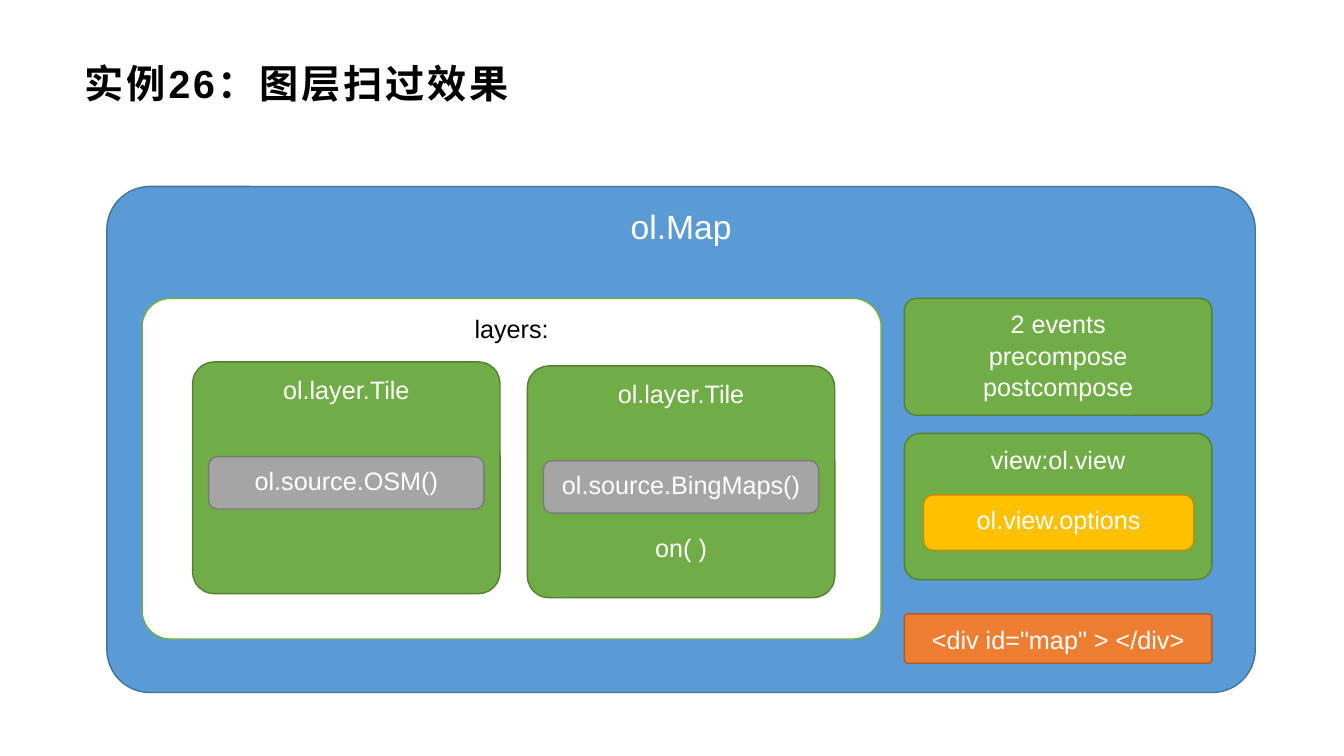
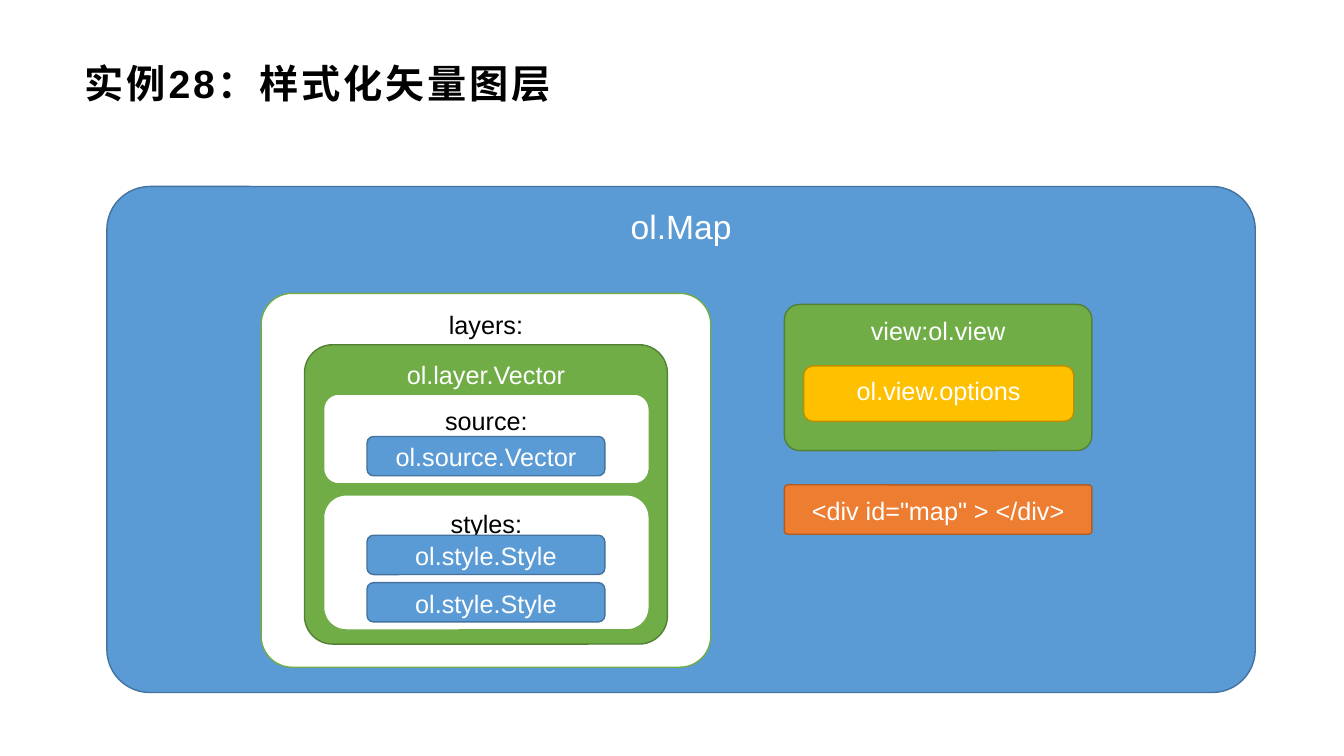
from dataclasses import dataclass
from typing import Optional

from pptx import Presentation
from pptx.dml.color import RGBColor
from pptx.enum.shapes import MSO_SHAPE
from pptx.enum.text import MSO_ANCHOR, PP_ALIGN
from pptx.slide import Slide
from pptx.text.text import _Run
from pptx.util import Inches, Pt

FONT = "Arial"
BLACK = "000000"
WHITE = "FFFFFF"


@dataclass(frozen=True)
class Style:
    """Colours, corner rounding and text placement of a kind of box."""

    fill: str
    line: str
    rounding: float = 0.167
    text: str = WHITE
    size: int = 18
    anchor: MSO_ANCHOR = MSO_ANCHOR.TOP


@dataclass(frozen=True)
class Box:
    """A labelled rounded box, in inches."""

    left: float
    top: float
    width: float
    height: float
    style: Style
    lines: tuple[str, ...]
    gap: float = 0


MAP = Style("5B9BD5", "43739E", 0.085, size=24)
LAYERS = Style(WHITE, "70AD47", 0.083, BLACK)
LAYER = Style("70AD47", "538035", 0.094)
PANEL = Style("70AD47", "538035", 0.103)
OPTIONS = Style("FFC000", "BD8E00")
SOURCE = Style("A5A5A5", "7A7A7A")
ELEMENT = Style("ED7D31", "AF5C24", 0.069, anchor=MSO_ANCHOR.MIDDLE)
PROPERTY = Style(WHITE, "70AD47", text=BLACK)
OBJECT = Style("5B9BD5", "43739E", anchor=MSO_ANCHOR.MIDDLE)

PANEL_WIDTH = 3.05


def colour(value: str) -> RGBColor:
    """Turn a hex string into a colour."""
    return RGBColor.from_string(value)


def style_span(span: _Run, size: int, text_colour: str, bold: bool = False) -> None:
    """Set the font of one run."""
    span.font.name = FONT
    span.font.size = Pt(size)
    span.font.bold = bold
    span.font.color.rgb = colour(text_colour)


def draw_title(page: Slide, title: str) -> None:
    """Write the bold, letter-spaced title of a page."""
    frame = page.shapes.add_textbox(
        Inches(0.73), Inches(0.47), Inches(11.87), Inches(0.71)
    ).text_frame
    frame.word_wrap = True
    frame.vertical_anchor = MSO_ANCHOR.MIDDLE
    frame.margin_left, frame.margin_right = Inches(0.11), Inches(0.08)
    frame.margin_top = frame.margin_bottom = Inches(0.04)
    span = frame.paragraphs[0].add_run()
    span.text = title
    style_span(span, 28, BLACK, bold=True)
    span.font._element.set("spc", "200")


def draw_box(page: Slide, box: Box) -> None:
    """Draw one rounded box with its centred lines."""
    style = box.style
    shape = page.shapes.add_shape(
        MSO_SHAPE.ROUNDED_RECTANGLE,
        Inches(box.left), Inches(box.top), Inches(box.width), Inches(box.height),
    )
    shape.shadow.inherit = False
    shape.adjustments[0] = style.rounding
    shape.fill.solid()
    shape.fill.fore_color.rgb = colour(style.fill)
    shape.line.color.rgb = colour(style.line)
    shape.line.width = Pt(1)
    frame = shape.text_frame
    frame.word_wrap = True
    frame.vertical_anchor = style.anchor
    for index, line in enumerate(box.lines):
        para = frame.add_paragraph() if index else frame.paragraphs[0]
        para.alignment = PP_ALIGN.CENTER
        para.line_spacing = 1.05
        if index:
            para.space_before = Pt(box.gap)
        span = para.add_run()
        span.text = line
        style_span(span, style.size, style.text)


def view_boxes(left: float, top: float) -> list[Box]:
    """Lay out the view, its options and the page element below."""
    return [
        Box(left, top + 1.79, PANEL_WIDTH, 0.49, ELEMENT, ('<div id="map" > </div>',)),
        Box(left, top, PANEL_WIDTH, 1.45, PANEL, ("view:ol.view",)),
        Box(left + 0.19, top + 0.61, 2.68, 0.55, OPTIONS, ("ol.view.options",)),
    ]


def tile_boxes(left: float, top: float, source: str, *calls: str) -> list[Box]:
    """Lay out a tile layer with its source and any calls below."""
    return [
        Box(left, top, PANEL_WIDTH, 2.3, LAYER, ("ol.layer.Tile", *calls), gap=87),
        Box(left + 0.16, top + 0.94, 2.73, 0.52, SOURCE, (source,)),
    ]


def object_box(top: float, name: str) -> Box:
    """Lay out one object inside a vector layer property."""
    return Box(3.64, top, 2.36, 0.39, OBJECT, (name,))


def add_page(deck: Presentation, title: str, boxes: list[Box], background: Optional[Box] = None) -> None:
    """Add a page with a title, the map frame and its boxes."""
    page = deck.slides.add_slide(deck.slide_layouts[6])
    draw_title(page, title)
    frame = background or Box(1.06, 1.85, 11.39, 5.02, MAP, ("ol.Map",))
    for box in [frame, *boxes]:
        draw_box(page, box)


def main() -> None:
    """Build and save the deck."""
    deck = Presentation()
    deck.slide_width, deck.slide_height = Inches(13.33), Inches(7.5)
    add_page(deck, "实例26：图层扫过效果", [
        *view_boxes(8.97, 4.3),
        Box(1.41, 2.96, 7.33, 3.38, LAYERS, ("layers:",)),
        *tile_boxes(1.91, 3.59, "ol.source.OSM()"),
        Box(8.97, 2.96, PANEL_WIDTH, 1.16, PANEL, ("2 events", "precompose", "postcompose")),
        *tile_boxes(5.23, 3.63, "ol.source.BingMaps()", "on( )"),
    ])
    add_page(deck, "实例28：样式化矢量图层", [
        *view_boxes(7.78, 3.02),
        Box(2.59, 2.91, 4.46, 3.71, LAYERS, ("layers:",)),
        Box(3.02, 3.42, 3.6, 2.97, LAYER, ("ol.layer.Vector",)),
        Box(3.21, 3.91, 3.23, 0.89, PROPERTY, ("source:",)),
        Box(3.21, 4.91, 3.23, 1.34, PROPERTY, ("styles:",)),
        object_box(4.33, "ol.source.Vector"),
        *(object_box(top, "ol.style.Style") for top in (5.31, 5.78)),
    ])
    deck.save("out.pptx")


main()
